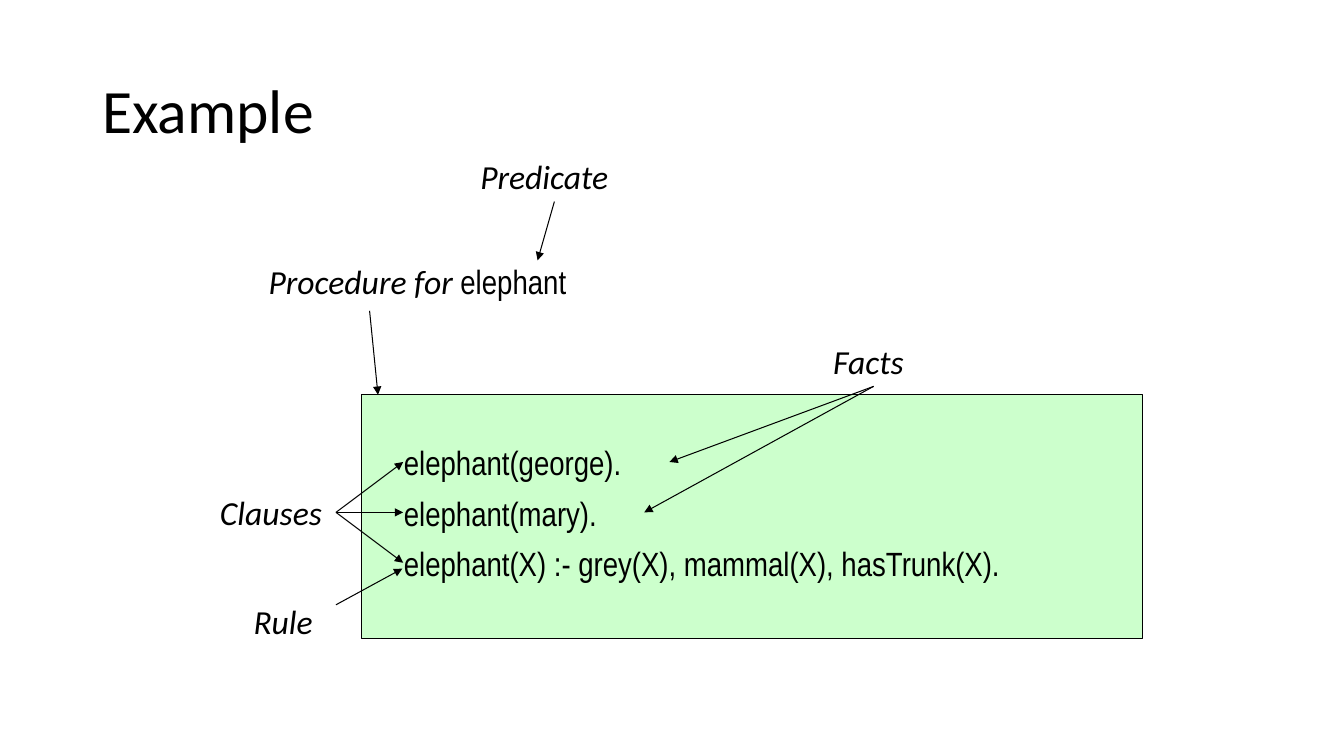
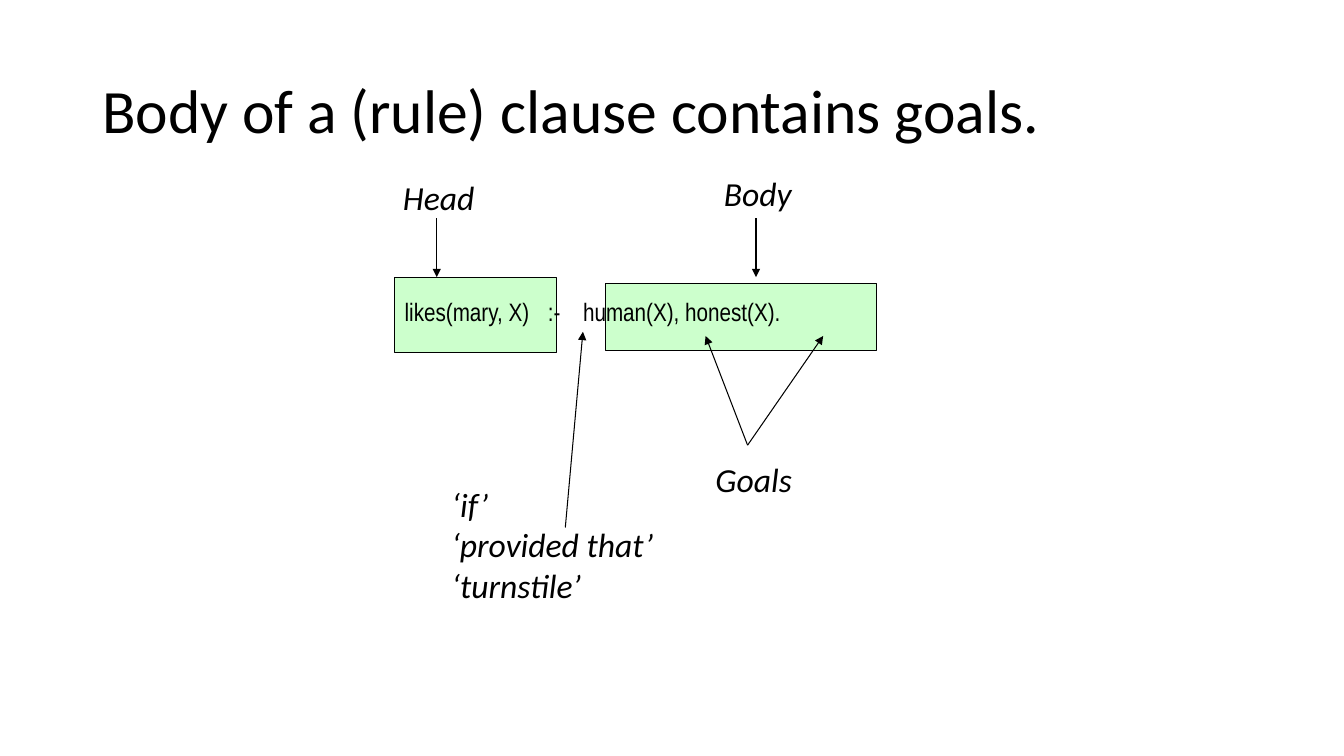
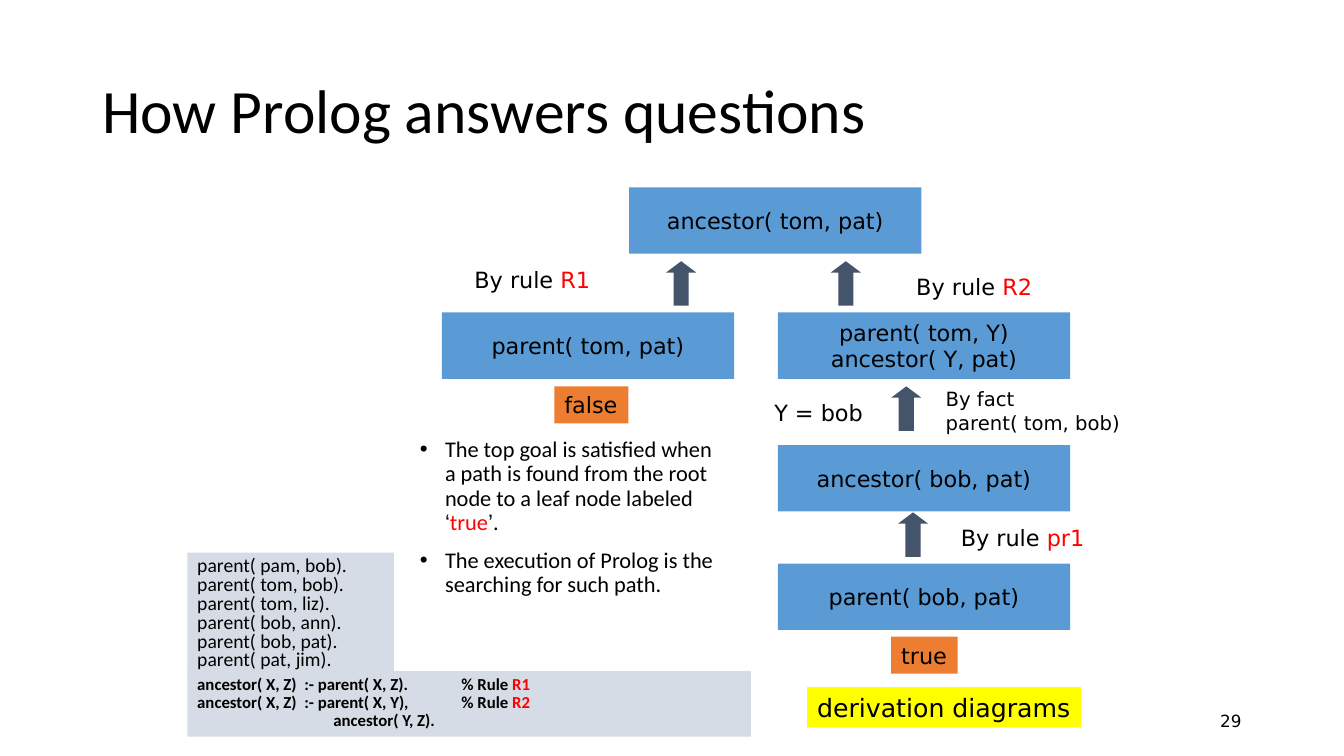
from pptx import Presentation
from pptx.dml.color import RGBColor as Rgb
from pptx.enum.shapes import MSO_CONNECTOR as Conn, MSO_SHAPE as Kind
from pptx.enum.text import MSO_ANCHOR as Anchor, MSO_AUTO_SIZE as Auto, PP_ALIGN as Align
from pptx.oxml.ns import qn
from pptx.util import Inches, Pt
from lxml.etree import SubElement as Sub

# Grid: 160 columns by 90 rows, each cell a twelfth of an inch
COLS, ROWS, CELL = 160, 90, Inches(1) / 12

HUES = {
    "ink": "000000", "red": "FF0000", "mint": "CCFFCC", "blue": "5B9BD5",
    "amber": "ED7D31", "slate": "44546A", "gold": "FFFF00", "mist": "D6DCE5",
}
SANS, CODE, WIDE = "Calibri", "Arial Narrow", "DejaVu Sans"
TERM = dict(face=SANS, size=24, slant=True)


def cell(*spans):
    return [round(span * CELL) for span in spans]


def hue(name):
    return Rgb.from_string(HUES[name])


# Text: a line is a string or a list of runs; a run is a string or (text, style)
def style(font, face=None, size=None, ink=None, bold=None, slant=None):
    if face:
        font.name = face
    if size:
        font.size = Pt(size)
    if ink:
        font.color.rgb = hue(ink)
    if bold is not None:
        font.bold = bold
    if slant is not None:
        font.italic = slant


def red(text):
    return text, dict(ink="red")


def write(shape, lines, wrap=False, grow=True, mid=False, align=None,
          lead=None, gap=0, dot=False, tabs=(), **look):
    frame = shape.text_frame
    frame.word_wrap = wrap
    frame.auto_size = Auto.SHAPE_TO_FIT_TEXT if grow else Auto.NONE
    frame.vertical_anchor = Anchor.MIDDLE if mid else Anchor.TOP
    for num, line in enumerate(lines):
        para = frame.add_paragraph() if num else frame.paragraphs[0]
        para.alignment = align or Align.LEFT
        props = para._p.get_or_add_pPr()
        if dot:
            props.set("marL", str(Inches(0.25)))
            props.set("indent", str(-Inches(0.25)))
            Sub(props, qn("a:buFont"), typeface="Arial")
            Sub(props, qn("a:buChar"), char="•")
        if tabs:
            stops = Sub(props, qn("a:tabLst"))
            for stop in tabs:
                Sub(stops, qn("a:tab"), pos=str(Inches(stop)), algn="l")
        if lead:
            para.line_spacing = lead
        if num and gap:
            para.space_before = Pt(gap)
        style(para.font, **{"ink": "ink", **look})
        for part in [line] if isinstance(line, str) else line:
            text, own = (part, {}) if isinstance(part, str) else part
            run = para.add_run()
            run.text = text
            style(run.font, **own)


# Elements
def label(slide, box, lines, **look):
    write(slide.shapes.add_textbox(*cell(*box)), lines, **look)


def block(slide, box, fill, lines=(), edge=False, kind=Kind.RECTANGLE, **look):
    shape = slide.shapes.add_shape(kind, *cell(*box))
    shape.shadow.inherit = False
    shape.fill.solid()
    shape.fill.fore_color.rgb = hue(fill)
    if edge:
        shape.line.color.rgb = hue("ink")
        shape.line.width = Pt(0.75)
    else:
        shape.line.fill.background()
    if lines:
        write(shape, lines, **look)
    return shape


def arrow(slide, start, end):
    line = slide.shapes.add_connector(Conn.STRAIGHT, *cell(*start, *end))
    line.line.color.rgb = hue("ink")
    line.line.width = Pt(0.75)
    Sub(line.line._get_or_add_ln(), qn("a:tailEnd"), type="triangle")
    Sub(line._element.spPr, qn("a:effectLst"))


def rise(slide, left, top):
    shape = block(slide, (left, top, 3.6, 5.3), "slate", kind=Kind.UP_ARROW)
    shape.adjustments[1] = 0.376


def page(deck, title):
    slide = deck.slides.add_slide(deck.slide_layouts[6])
    label(slide, (11, 4.8, 138, 17.4), [title], wrap=True, grow=False,
          mid=True, lead=0.9, face=SANS, size=44)
    return slide


# Slide 1: parts of a program
def parts(deck):
    slide = page(deck, "Example")
    block(slide, (43, 47, 93, 29), "mint", edge=True)
    label(slide, (46.9, 52.6, 89.8, 21.7),
          ["elephant(george).", "elephant(mary).",
           "elephant(X) :- grey(X), mammal(X), hasTrunk(X)."],
          wrap=True, grow=False, lead=0.9, gap=10, face=CODE, size=24)
    name = "elephant", dict(face=CODE, slant=False)
    for left, top, width, line in [
            (30.8, 30.5, 41, ["Procedure for ", name]),
            (56, 18, 17.9, "Predicate"),
            (25, 58, 15.1, "Clauses"),
            (29, 71, 9.7, "Rule"),
            (98, 40, 11.3, "Facts")]:
        label(slide, (left, top, width, 6), [line], **TERM)
    arrow(slide, (44, 37), (45, 47))
    arrow(slide, (66, 24), (64, 31))
    for row in (55, 61, 67):
        arrow(slide, (40, 61), (48, row))
    arrow(slide, (40, 72), (47.9, 67.7))
    for tip in [(79.7, 55), (76.7, 61)]:
        arrow(slide, (104, 46), tip)


# Slide 2: parts of a clause
def clause(deck):
    slide = page(deck, "Body of a (rule) clause contains goals.")
    block(slide, (72.1, 33.7, 32.3, 8), "mint", edge=True)
    block(slide, (47, 33, 19.3, 9), "mint", edge=True)
    label(slide, (47, 34.7, 57.4, 4.8),
          ["likes(mary, X)\t:-\thuman(X), honest(X)."],
          tabs=(1.42, 1.77), face=CODE, size=18)
    for box, lines in [
            ((46.8, 20.5, 11, 6), ["Head"]),
            ((85, 20, 10.7, 6), ["Body"]),
            ((84, 54, 12, 6), ["Goals"]),
            ((52.6, 57, 26.6, 15.7), ["‘if’", "‘provided that’", "‘turnstile’"])]:
        label(slide, box, lines, **TERM)
    for col in (52, 90):
        arrow(slide, (col, 26), (col, 33))
    for col in (84, 98):
        arrow(slide, (89, 53), (col, 40))
    arrow(slide, (67.3, 62.8), (69.4, 39.5))


# Slide 3: derivation tree
def tree(deck):
    slide = page(deck, "How Prolog answers questions")
    label(slide, (113, 83.4, 36, 4.8), ["29"], wrap=True, grow=False,
          mid=True, align=Align.RIGHT, face=WIDE, size=12)
    node = dict(face=WIDE, size=16)

    # Goals
    for left, top, lines in [
            (74.9, 22.3, ["ancestor( tom, pat)"]),
            (92.6, 53, ["ancestor( bob, pat)"]),
            (92.6, 37.2, ["parent( tom, Y)", "ancestor( Y, pat)"]),
            (52.6, 37.2, ["parent( tom, pat)"]),
            (92.6, 67.1, ["parent( bob, pat)"])]:
        block(slide, (left, top, 34.8, 7.9), "blue", lines, grow=False,
              mid=True, align=Align.CENTER, **node)

    # Steps between goals
    for left, top, width, line in [
            (55.3, 31.1, 16.6, ["By rule ", red("R1")]),
            (107.9, 31.9, 16.6, ["By rule ", red("R2")]),
            (91, 46.9, 13.2, "Y = bob"),
            (113.2, 61.8, 17.5, ["By rule ", red("pr1")])]:
        label(slide, (left, top, width, 4.4), [line], **node)
    label(slide, (111.4, 45.5, 23.9, 6.8), ["By fact", "parent( tom, bob)"],
          face=WIDE, size=14)
    for spot in [(79.3, 31.1), (98.9, 31.1), (106.1, 46), (106.9, 61)]:
        rise(slide, *spot)

    # Outcomes and caption
    block(slide, (66, 46, 8.8, 4.4), "amber", ["false"], **node)
    block(slide, (106.1, 75.8, 7.9, 4.4), "amber", ["true"], **node)
    block(slide, (96.1, 81.8, 32.6, 4.8), "gold", ["derivation diagrams"],
          face=WIDE, size=18)

    # Remarks
    quote = dict(face="Arial")
    label(slide, (48.8, 51.6, 37.8, 26.4), [
        ["The top goal is satisfied when a path is found from the root node "
         "to a leaf node labeled ", ("‘", quote), red("true"), ("’", quote), "."],
        "The execution of Prolog is the searching for such path."],
        wrap=True, grow=False, lead=0.9, gap=10, dot=True, face=SANS, size=16)

    # Program
    pairs = ["pam, bob", "tom, bob", "tom, liz", "bob, ann", "bob, pat", "pat, jim"]
    block(slide, (22.3, 65.8, 24.6, 14.8), "mist",
          [f"parent( {pair})." for pair in pairs],
          wrap=True, lead=0.8, face=SANS, size=14)
    block(slide, (22.3, 79.9, 67.1, 7.8), "mist", [
        ["ancestor( X, Z)  :- parent( X, Z).\t% Rule ", red("R1")],
        ["ancestor( X, Z)  :- parent( X, Y),\t% Rule ", red("R2")],
        " " * 36 + "ancestor( Y, Z)."],
        wrap=True, lead=0.9, tabs=(2.62,), face=SANS, size=12, bold=True)


def main():
    deck = Presentation()
    deck.slide_width, deck.slide_height = cell(COLS, ROWS)
    for build in (parts, clause, tree):
        build(deck)
    deck.save("out.pptx")


if __name__ == "__main__":
    main()
